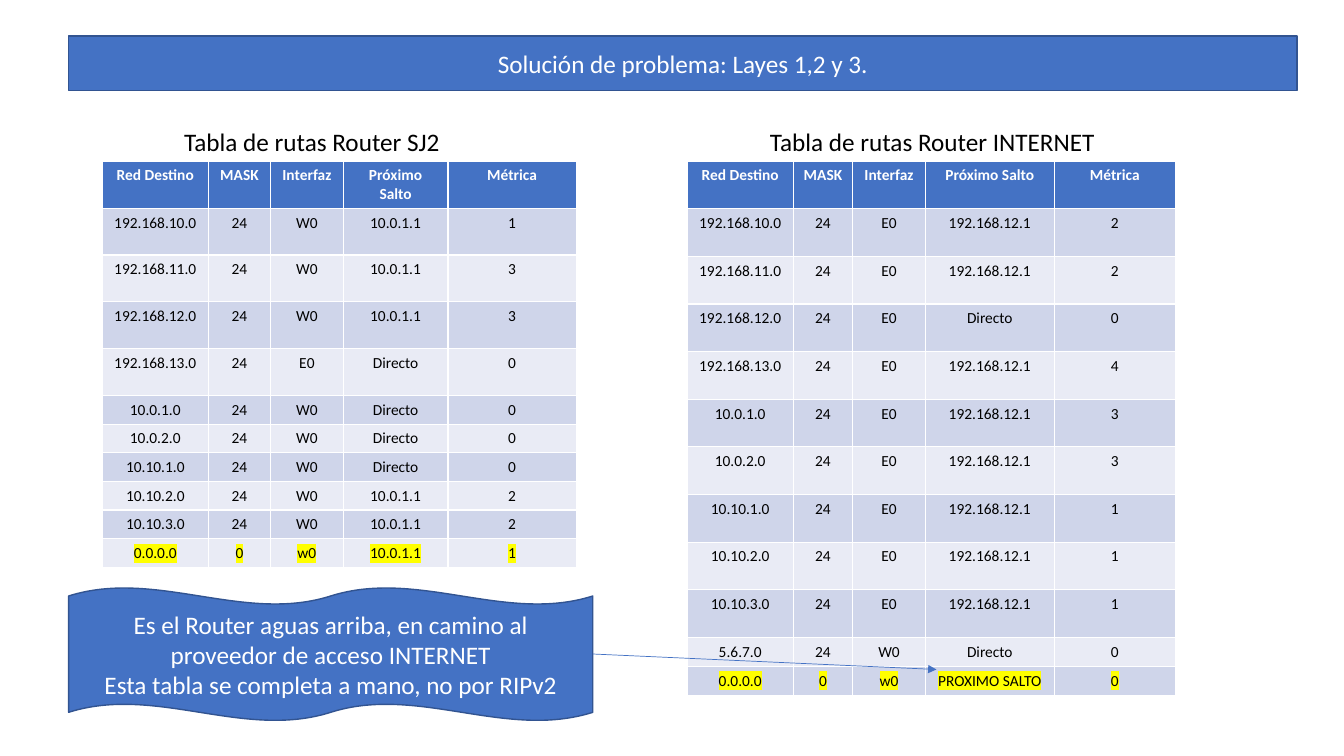
"""Build the slide with the route tables of the routers SJ2 and INTERNET."""
from dataclasses import dataclass
from typing import NamedTuple

from lxml import etree
from pptx import Presentation
from pptx.dml.color import RGBColor
from pptx.enum.shapes import MSO_CONNECTOR, MSO_SHAPE
from pptx.enum.text import MSO_ANCHOR, MSO_AUTO_SIZE, PP_ALIGN
from pptx.oxml.ns import qn
from pptx.util import Cm, Pt

STRAIGHT = MSO_CONNECTOR.STRAIGHT
DOUBLE_WAVE = MSO_SHAPE.DOUBLE_WAVE
CENTER = PP_ALIGN.CENTER
MIDDLE = MSO_ANCHOR.MIDDLE
TOP = MSO_ANCHOR.TOP
NO_FIT = MSO_AUTO_SIZE.NONE

COLORS = {
    "blue": "4472C4",
    "outline": "325491",
    "odd_row": "CFD5EA",
    "even_row": "E9EBF5",
    "white": "FFFFFF",
    "black": "000000",
    "highlight": "FFFF00",
}
FONT = "Calibri"
HEADINGS = ("Red Destino", "MASK", "Interfaz", "Próximo Salto", "Métrica")
CAPTION_TOP, CAPTION_HEIGHT, TABLE_TOP = 3.05, 1.02, 4.06


class Box(NamedTuple):
    """Position and size in centimetres."""

    left: float
    top: float
    width: float
    height: float


class Route(NamedTuple):
    """One line of a route table."""

    network: str
    interface: str
    next_hop: str
    metric: int
    mask: int = 24


@dataclass
class RouteTable:
    """A captioned route table; the last route is the default one."""

    caption: str
    caption_left: float
    caption_width: float
    left: float
    column_widths: tuple[float, ...]
    tall_rows: int
    tall_height: float
    short_height: float
    routes: list[Route]


SJ2 = RouteTable(
    "Tabla de rutas Router SJ2", 4.39, 7.04, 2.58,
    (2.67, 1.57, 1.83, 2.64, 3.23), 5, 1.18, 0.72,
    [
        Route("192.168.10.0", "W0", "10.0.1.1", 1),
        Route("192.168.11.0", "W0", "10.0.1.1", 3),
        Route("192.168.12.0", "W0", "10.0.1.1", 3),
        Route("192.168.13.0", "E0", "Directo", 0),
        Route("10.0.1.0", "W0", "Directo", 0),
        Route("10.0.2.0", "W0", "Directo", 0),
        Route("10.10.1.0", "W0", "Directo", 0),
        Route("10.10.2.0", "W0", "10.0.1.1", 2),
        Route("10.10.3.0", "W0", "10.0.1.1", 2),
        Route("0.0.0.0", "w0", "10.0.1.1", 1, 0),
    ],
)
INTERNET = RouteTable(
    "Tabla de rutas Router INTERNET", 19.15, 8.79, 17.32,
    (2.67, 1.5, 1.83, 3.25, 3.05), 10, 1.2, 0.73,
    [
        Route("192.168.10.0", "E0", "192.168.12.1", 2),
        Route("192.168.11.0", "E0", "192.168.12.1", 2),
        Route("192.168.12.0", "E0", "Directo", 0),
        Route("192.168.13.0", "E0", "192.168.12.1", 4),
        Route("10.0.1.0", "E0", "192.168.12.1", 3),
        Route("10.0.2.0", "E0", "192.168.12.1", 3),
        Route("10.10.1.0", "E0", "192.168.12.1", 1),
        Route("10.10.2.0", "E0", "192.168.12.1", 1),
        Route("10.10.3.0", "E0", "192.168.12.1", 1),
        Route("5.6.7.0", "W0", "Directo", 0),
        Route("0.0.0.0", "w0", "PROXIMO SALTO", 0, 0),
    ],
)


def rgb(name: str) -> RGBColor:
    """Return the named colour."""
    return RGBColor.from_string(COLORS[name])


def write(frame, text: str, size: int, color: str, align=CENTER, bold=False) -> None:
    """Set the text of a frame and format all its runs."""
    frame.text = text
    for paragraph in frame.paragraphs:
        paragraph.alignment = align
        for run in paragraph.runs:
            run.font.name = FONT
            run.font.size = Pt(size)
            run.font.bold = bold
            run.font.color.rgb = rgb(color)


def highlight(frame) -> None:
    """Mark the runs of a frame in yellow."""
    for run in frame.paragraphs[0].runs:
        marker = etree.Element(qn("a:highlight"))
        etree.SubElement(marker, qn("a:srgbClr"), val=COLORS["highlight"])
        run.font._element.find(qn("a:solidFill")).addnext(marker)


def style_panel(panel, text: str) -> None:
    """Give a panel its blue fill, outline and white text."""
    panel.shadow.inherit = False
    panel.fill.solid()
    panel.fill.fore_color.rgb = rgb("blue")
    panel.line.color.rgb = rgb("outline")
    panel.line.width = Pt(1)
    frame = panel.text_frame
    frame.word_wrap = True
    frame.auto_size = NO_FIT
    frame.vertical_anchor = MIDDLE
    write(frame, text, 18, "white")


def draw_title(slide, text: str, box: Box) -> None:
    """Turn the title placeholder into a rounded banner."""
    title = slide.shapes.title
    title.left, title.top, title.width, title.height = map(Cm, box)
    outline = etree.SubElement(title._element.spPr, qn("a:prstGeom"), prst="roundRect")
    etree.SubElement(outline, qn("a:avLst"))
    style_panel(title, text)


def draw_route_table(slide, spec_table: RouteTable) -> None:
    """Draw a route table under its caption."""
    caption = slide.shapes.add_textbox(
        Cm(spec_table.caption_left), Cm(CAPTION_TOP),
        Cm(spec_table.caption_width), Cm(CAPTION_HEIGHT))
    caption.text_frame.word_wrap = False
    write(caption.text_frame, spec_table.caption, 18, "black", PP_ALIGN.LEFT)

    lines = [HEADINGS] + [
        (r.network, r.mask, r.interface, r.next_hop, r.metric) for r in spec_table.routes]
    heights = [spec_table.tall_height if index < spec_table.tall_rows
               else spec_table.short_height for index in range(len(lines))]
    grid = slide.shapes.add_table(
        len(lines), len(HEADINGS), Cm(spec_table.left), Cm(TABLE_TOP),
        Cm(sum(spec_table.column_widths)), Cm(sum(heights))).table
    for column, width in zip(grid.columns, spec_table.column_widths):
        column.width = Cm(width)
    for index, (values, height) in enumerate(zip(lines, heights)):
        grid.rows[index].height = Cm(height)
        is_header = index == 0
        band = "blue" if is_header else "odd_row" if index % 2 else "even_row"
        for cell, value in zip(grid.rows[index].cells, values):
            cell.fill.solid()
            cell.fill.fore_color.rgb = rgb(band)
            cell.vertical_anchor = TOP
            write(cell.text_frame, str(value), 11,
                  "white" if is_header else "black", bold=is_header)
            if index == len(lines) - 1:
                highlight(cell.text_frame)


def draw_arrow(slide, start: tuple[float, float], end: tuple[float, float]) -> None:
    """Draw a thin arrow between two points."""
    arrow = slide.shapes.add_connector(STRAIGHT, *map(Cm, start + end))
    arrow.line.color.rgb = rgb("blue")
    arrow.line.width = Pt(0.5)
    etree.SubElement(arrow.line._get_or_add_ln(), qn("a:tailEnd"), type="triangle")
    etree.SubElement(arrow._element.spPr, qn("a:effectLst"))


deck = Presentation()
deck.slide_width, deck.slide_height = Cm(33.87), Cm(19.05)
routes_slide = deck.slides.add_slide(deck.slide_layouts.get_by_name("Title Only"))
draw_title(routes_slide, "Solución de problema: Layes 1,2 y 3.", Box(1.73, 0.91, 30.96, 1.37))
for route_table in (INTERNET, SJ2):
    draw_route_table(routes_slide, route_table)
upstream_note = routes_slide.shapes.add_shape(
    DOUBLE_WAVE, *map(Cm, Box(1.73, 14.81, 13.21, 3.35)))
style_panel(upstream_note,
            "Es el Router aguas arriba, en camino al proveedor de acceso INTERNET\n"
            "Esta tabla se completa a mano, no por RIPv2")
draw_arrow(routes_slide, (14.94, 16.48), (23.6, 16.87))
deck.save("out.pptx")
